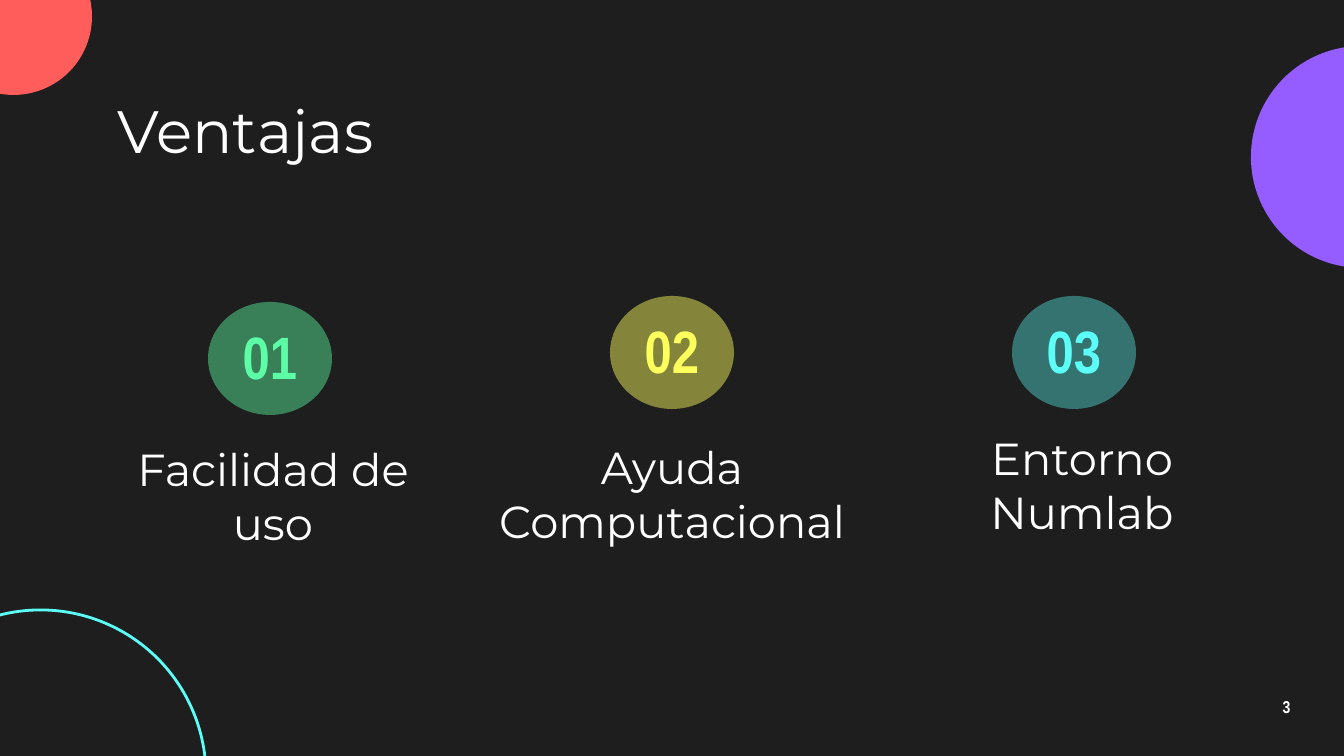
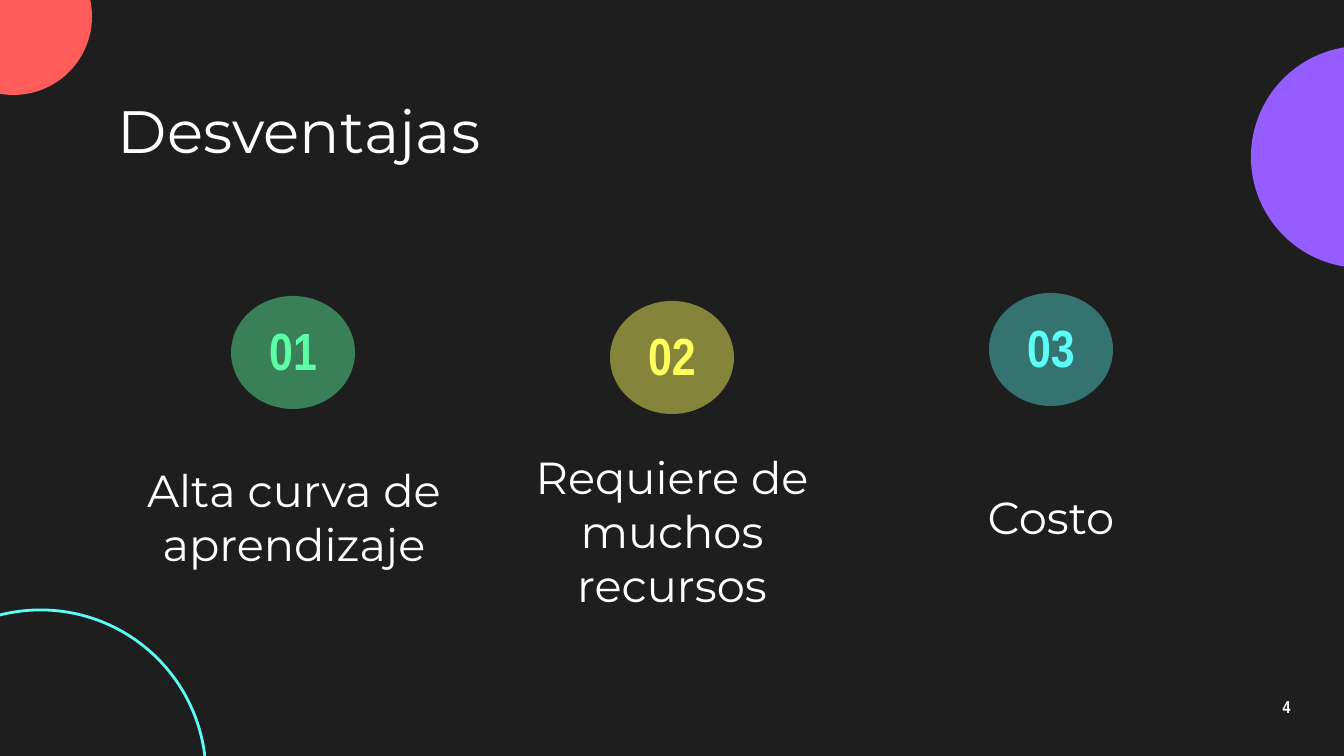
from dataclasses import dataclass

from lxml.etree import SubElement
from pptx import Presentation
from pptx.dml.color import RGBColor
from pptx.enum.shapes import MSO_SHAPE
from pptx.enum.text import MSO_ANCHOR, MSO_AUTO_SIZE, PP_ALIGN
from pptx.oxml.ns import qn
from pptx.util import Emu, Pt


@dataclass(frozen=True)
class Theme:
    background: str = "1E1E1E"
    text: str = "FFFFFF"
    purple: str = "955CFF"
    red: str = "FF5C5C"
    green: str = "5CFFA6"
    yellow: str = "FDFF5C"
    cyan: str = "5CFFF8"
    text_font: str = "Montserrat"
    number_font: str = "Arial Narrow"
    title_size: float = 32
    caption_size: float = 24
    page_size: float = 9.2
    ring_width: float = 1.5


theme = Theme()
PX = 9144000 / 1344
INSET = 13
CIRCLE_WIDTH, CIRCLE_HEIGHT = 124, 113
NUMBER_OFFSET, NUMBER_HEIGHT = 15, 78
BADGES = [("01", theme.green, 44), ("02", theme.yellow, 46), ("03", theme.cyan, 38)]

# Each item: caption, circle top, caption centre, top, width, height
SLIDES = [
    {"title": "Ventajas", "page": "3", "column_step": 402, "number_size": 32, "items": [
        ("Facilidad de uso", 302, 273, 449, 336, 93),
        ("Ayuda Computacional", 296, 672, 423, 404, 141),
        ("Entorno Numlab", 296, 1082, 438, 242, 93),
    ]},
    {"title": "Desventajas", "page": "4", "column_step": 379, "number_size": 28, "items": [
        ("Alta curva de aprendizaje", 296, 294, 470, 336, 93),
        ("Requiere de muchos recursos", 301, 672, 460, 336, 141),
        ("Costo", 293, 1051, 470, 202, 93),
    ]},
]


def add_ellipse(slide, box, color, opacity=100, outline=False):
    shape = slide.shapes.add_shape(MSO_SHAPE.OVAL, *[Emu(round(n * PX)) for n in box])
    shape.shadow.inherit = False
    if outline:
        shape.fill.background()
        shape.line.color.rgb = RGBColor.from_string(color)
        shape.line.width = Pt(theme.ring_width)
        return shape
    shape.fill.solid()
    shape.fill.fore_color.rgb = RGBColor.from_string(color)
    shape.line.fill.background()
    if opacity < 100:
        color_element = shape.element.spPr.find(qn("a:solidFill"))[0]
        SubElement(color_element, qn("a:alpha"), val=str(opacity * 1000))
    return shape


def write_text(shape, box, text, font, size, color=theme.text, bold=False,
               align=PP_ALIGN.CENTER):
    """Place a text shape and fill it with one formatted run."""
    shape.left, shape.top, shape.width, shape.height = [Emu(round(n * PX)) for n in box]
    frame = shape.text_frame
    frame.word_wrap = True
    frame.auto_size = MSO_AUTO_SIZE.NONE
    frame.vertical_anchor = MSO_ANCHOR.MIDDLE
    frame.margin_left = frame.margin_right = Emu(round(INSET * PX))
    frame.margin_top = frame.margin_bottom = Emu(round(INSET * PX))
    paragraph = frame.paragraphs[0]
    paragraph.alignment = align
    run = paragraph.add_run()
    run.text = text
    run.font.name = font
    run.font.size = Pt(size)
    run.font.bold = bold
    run.font.color.rgb = RGBColor.from_string(color)
    return paragraph


presentation = Presentation()
presentation.slide_width = Emu(round(1344 * PX))
presentation.slide_height = Emu(round(756 * PX))

background = presentation.slide_master.background.fill
background.solid()
background.fore_color.rgb = RGBColor.from_string(theme.background)

# The layout keeps only its title and carries the decorative circles
layout = presentation.slide_layouts.get_by_name("Title Only")
for placeholder in list(layout.placeholders)[1:]:
    layout.shapes.element.remove(placeholder.element)

slides = [presentation.slides.add_slide(layout) for _ in SLIDES]
decorations = [
    add_ellipse(slides[0], (1251, 46, 222, 222), theme.purple),
    add_ellipse(slides[0], (-65, -62, 157, 157), theme.red),
    add_ellipse(slides[0], (-125, 610, 331, 331), theme.cyan, outline=True),
]
for decoration in decorations:
    layout.shapes.element.append(decoration.element)

for slide, content in zip(slides, SLIDES):
    write_text(slide.shapes.title, (105, 95, 1134, 69), content["title"],
               theme.text_font, theme.title_size, align=PP_ALIGN.LEFT)

    for column, (badge, item) in enumerate(zip(BADGES, content["items"])):
        number, color, opacity = badge
        caption, circle_top, center, top, width, height = item
        left = 672 + (column - 1) * content["column_step"] - CIRCLE_WIDTH // 2
        add_ellipse(slide, (left, circle_top, CIRCLE_WIDTH, CIRCLE_HEIGHT), color, opacity)
        number_box = slide.shapes.add_textbox(0, 0, 0, 0)
        write_text(number_box, (left, circle_top + NUMBER_OFFSET, CIRCLE_WIDTH, NUMBER_HEIGHT),
                   number, theme.number_font, content["number_size"], color, bold=True)
        caption_box = slide.shapes.add_textbox(0, 0, 0, 0)
        write_text(caption_box, (center - width // 2, top, width, height),
                   caption, theme.text_font, theme.caption_size)

    page_box = slide.shapes.add_textbox(0, 0, 0, 0)
    paragraph = write_text(page_box, (1246, 685, 81, 46), content["page"],
                           theme.number_font, theme.page_size, bold=True)
    paragraph.line_spacing = 0.9

presentation.save("out.pptx")
